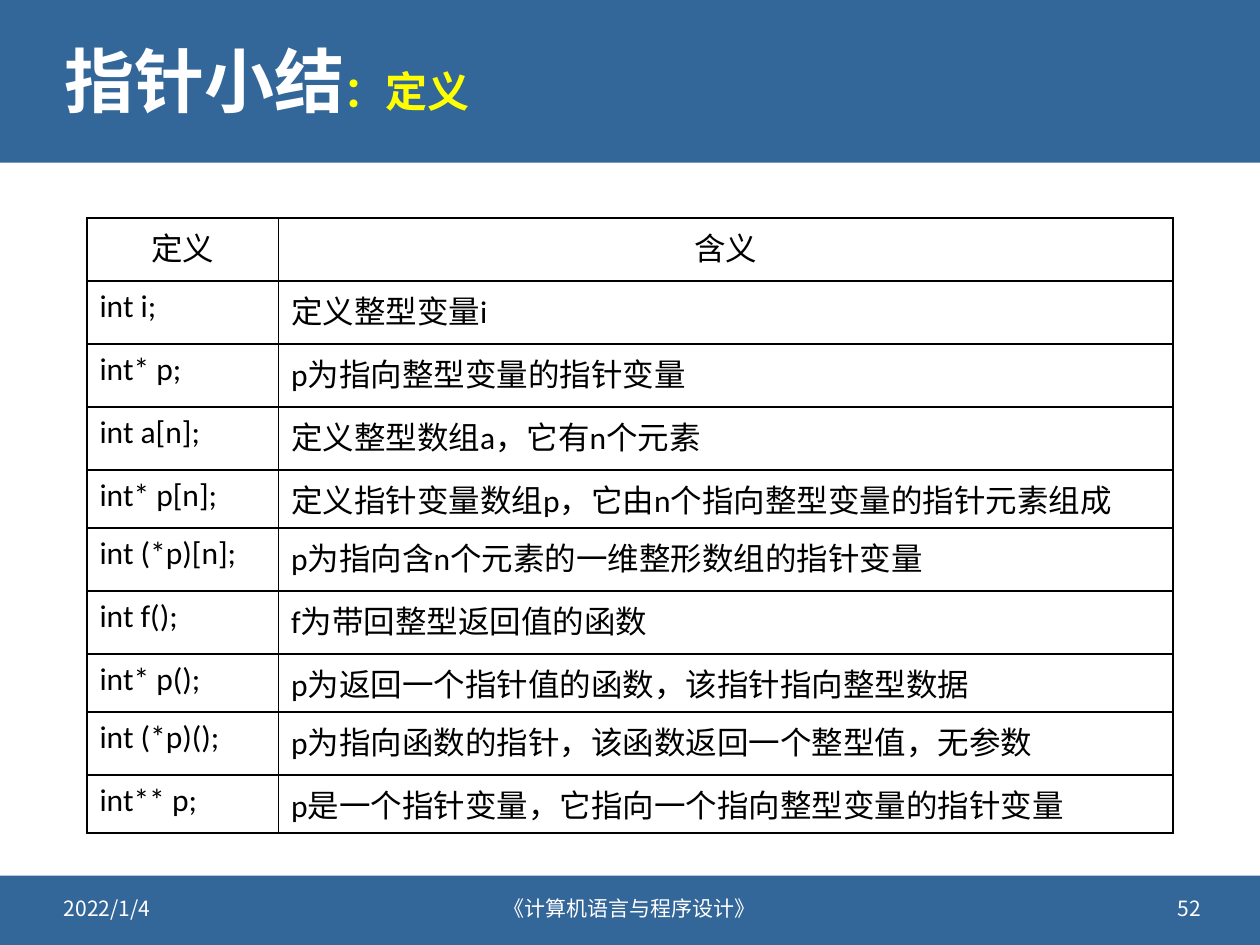
from lxml import etree
from pptx import Presentation
from pptx import util as u
from pptx.dml.color import RGBColor
from pptx.enum import shapes, text
from pptx.oxml.ns import qn

BLUE, WHITE, YELLOW, BLACK = "336699", "FFFFFF", "FFFF00", "000000"
CJK, LATIN = "Noto Sans CJK SC", "Calibri"
LEFT, CENTER, RIGHT = text.PP_ALIGN.LEFT, text.PP_ALIGN.CENTER, text.PP_ALIGN.RIGHT

DEFINITIONS = [
    ("定义", "含义"),
    ("int i;", "定义整型变量i"),
    ("int* p;", "p为指向整型变量的指针变量"),
    ("int a[n];", "定义整型数组a，它有n个元素"),
    ("int* p[n];", "定义指针变量数组p，它由n个指向整型变量的指针元素组成"),
    ("int (*p)[n];", "p为指向含n个元素的一维整形数组的指针变量"),
    ("int f();", "f为带回整型返回值的函数"),
    ("int* p();", "p为返回一个指针值的函数，该指针指向整型数据"),
    ("int (*p)();", "p为指向函数的指针，该函数返回一个整型值，无参数"),
    ("int** p;", "p是一个指针变量，它指向一个指向整型变量的指针变量"),
]
COLUMN_WIDTHS = (1.52, 7.1)
ROW_HEIGHT, TIGHT_HEIGHT = 0.5, 0.46
TIGHT_ROWS = (4, 7, 9)


def rgb(value):
    return RGBColor.from_string(value)


def write(paragraph, words, size=12, color=WHITE, font=CJK, bold=False, align=LEFT):
    """Append a formatted run to a paragraph."""
    paragraph.alignment = align
    run = paragraph.add_run()
    run.text = words
    run.font.size, run.font.bold = u.Pt(size), bold
    run.font.name = font
    run.font.color.rgb = rgb(color)
    east_asian = etree.SubElement(run._r.get_or_add_rPr(), qn("a:ea"))
    east_asian.set("typeface", CJK)


def add_band(slide, top, height):
    """Full-width bar behind everything else."""
    band = slide.shapes.add_shape(shapes.MSO_SHAPE.RECTANGLE, 0, u.Inches(top),
                                  u.Inches(10), u.Inches(height))
    band.shadow.inherit = False
    band.fill.solid()
    band.fill.fore_color.rgb = rgb(BLUE)
    band.line.fill.background()
    band._element.getparent().insert(2, band._element)


def fill_title(slide):
    title = slide.shapes.title
    title.left, title.top = u.Inches(0.41), u.Inches(0.18)
    title.width, title.height = u.Inches(9.19), u.Inches(0.99)
    frame = title.text_frame
    frame.auto_size = text.MSO_AUTO_SIZE.NONE
    frame.vertical_anchor = text.MSO_ANCHOR.MIDDLE
    heading = frame.paragraphs[0]
    heading.line_spacing = 0.9
    write(heading, "指针小结", size=40, bold=True)
    write(heading, "：定义", size=24, color=YELLOW, bold=True)


def add_footer(slide, left, width, words, align):
    footer = slide.shapes.add_textbox(u.Inches(left), u.Inches(7.01),
                                      u.Inches(width), u.Inches(0.4))
    frame = footer.text_frame
    frame.word_wrap = True
    frame.vertical_anchor = text.MSO_ANCHOR.MIDDLE
    write(frame.paragraphs[0], words, align=align)


def add_borders(cell):
    """Thin black line on every side; borders precede the fill in the XML."""
    properties = cell._tc.get_or_add_tcPr()
    for position, side in enumerate(("lnL", "lnR", "lnT", "lnB")):
        line = etree.Element(qn(f"a:{side}"), w=str(u.Pt(1)))
        fill = etree.SubElement(line, qn("a:solidFill"))
        etree.SubElement(fill, qn("a:srgbClr"), val=BLACK)
        properties.insert(position, line)


def add_definitions(slide):
    heights = [TIGHT_HEIGHT if i in TIGHT_ROWS else ROW_HEIGHT
               for i in range(len(DEFINITIONS))]
    table = slide.shapes.add_table(
        len(DEFINITIONS), len(COLUMN_WIDTHS), u.Inches(0.69), u.Inches(1.73),
        u.Inches(sum(COLUMN_WIDTHS)), u.Inches(sum(heights))).table
    for column, width in zip(table.columns, COLUMN_WIDTHS):
        column.width = u.Inches(width)
    for i, (height, entries) in enumerate(zip(heights, DEFINITIONS)):
        table.rows[i].height = u.Inches(height)
        for j, words in enumerate(entries):
            cell = table.cell(i, j)
            cell.fill.solid()
            cell.fill.fore_color.rgb = rgb(WHITE)
            add_borders(cell)
            paragraph = cell.text_frame.paragraphs[0]
            write(paragraph, words, size=18, color=BLACK, font=LATIN,
                  align=LEFT if i else CENTER)
            # Hanging indent
            indent = paragraph._p.get_or_add_pPr()
            indent.set("marL", str(u.Inches(0.51)))
            indent.set("indent", str(-u.Inches(0.51)))


def main():
    deck = Presentation()
    deck.slide_width, deck.slide_height = u.Inches(10), u.Inches(7.5)
    slide = deck.slides.add_slide(deck.slide_layouts[5])

    # Header and footer bands
    add_band(slide, 0, 1.29)
    add_band(slide, 6.95, 0.55)

    fill_title(slide)

    # Date, course name and page number
    add_footer(slide, 0.41, 2.4, "2022/1/4", LEFT)
    add_footer(slide, 3.2, 3.6, "《计算机语言与程序设计》", CENTER)
    add_footer(slide, 7.23, 2.4, "52", RIGHT)

    add_definitions(slide)
    deck.save("out.pptx")


if __name__ == "__main__":
    main()
